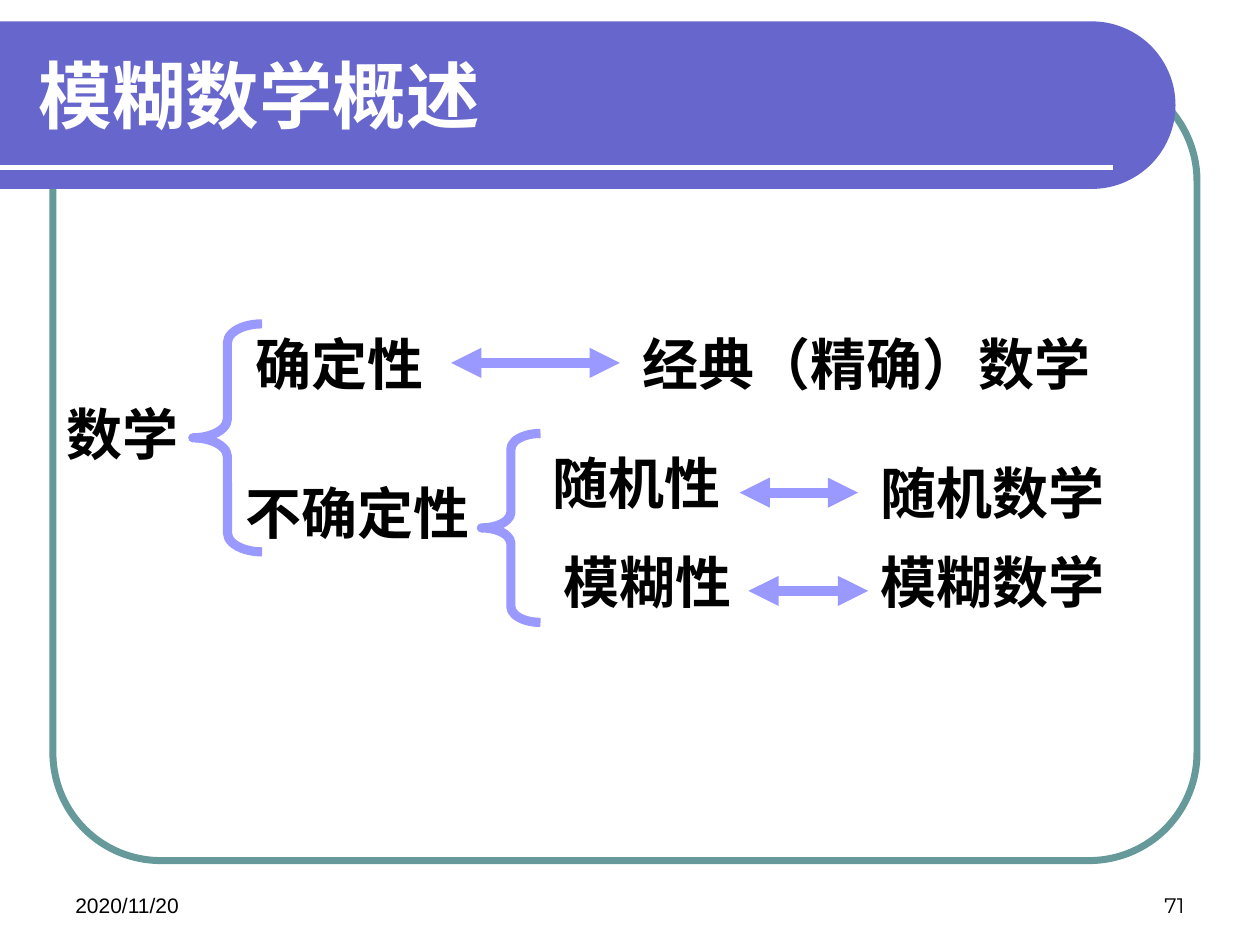
"""Build the slide that outlines the branches of mathematics."""
from dataclasses import dataclass
from math import cos, pi, sin

from lxml.etree import SubElement
from pptx import Presentation
from pptx.dml.color import RGBColor
from pptx.enum.shapes import MSO_CONNECTOR as Connector, MSO_SHAPE as Shape
from pptx.enum.text import MSO_ANCHOR as Anchor, PP_ALIGN as Align
from pptx.oxml.ns import qn
from pptx.util import Inches, Pt


@dataclass(frozen=True)
class Theme:
    """Colours, fonts and sizes of the slide."""
    banner: str = "6666CC"
    frame: str = "669999"
    accent: str = "9999FF"
    light: str = "FFFFFF"
    dark: str = "000000"
    font: str = "Arial"
    number_font: str = "Montserrat"
    title_size: int = 42
    label_size: int = 32
    footer_size: int = 12
    frame_width: float = 4
    rule_width: float = 3
    brace_width: float = 5.25
    arrow_width: float = 5.75


class SlideBuilder:
    """Draws each kind of element in one style."""

    def __init__(self, page, theme):
        self.page = page
        self.theme = theme

    def outline(self, kind, left, top, width, height, adjustments, color, weight):
        """Add an unfilled preset shape."""
        shape = self.page.shapes.add_shape(
            kind, Inches(left), Inches(top), Inches(width), Inches(height))
        for index, value in enumerate(adjustments):
            shape.adjustments[index] = value
        shape.shadow.inherit = False
        shape.fill.background()
        shape.line.color.rgb = RGBColor.from_string(color)
        shape.line.width = Pt(weight)

    def brace(self, left, top, width, height, curve):
        """Add a left brace."""
        self.outline(Shape.LEFT_BRACE, left, top, width, height, (curve, 0.5),
                     self.theme.accent, self.theme.brace_width)

    def banner(self, top, right, height):
        """Add a band from the left edge with a half-round right end."""
        radius = height / 2
        steps = 60
        angles = [pi * step / steps - pi / 2 for step in range(steps + 1)]
        points = [(Inches(right - radius + radius * cos(angle)),
                   Inches(top + radius + radius * sin(angle))) for angle in angles]
        outline = self.page.shapes.build_freeform(0, Inches(top))
        outline.add_line_segments(points + [(0, Inches(top + height))], close=True)
        shape = outline.convert_to_shape()
        shape.shadow.inherit = False
        shape.fill.solid()
        shape.fill.fore_color.rgb = RGBColor.from_string(self.theme.banner)
        shape.line.fill.background()

    def line(self, left, right, y, color, weight):
        """Add a horizontal line."""
        line = self.page.shapes.add_connector(
            Connector.STRAIGHT, Inches(left), Inches(y), Inches(right), Inches(y))
        line.line.color.rgb = RGBColor.from_string(color)
        line.line.width = Pt(weight)
        SubElement(line._element.spPr, qn("a:effectLst"))
        return line

    def arrow(self, left, right, y):
        """Add a double-headed horizontal arrow."""
        line = self.line(left, right, y, self.theme.accent, self.theme.arrow_width)
        stroke = line.line._get_or_add_ln()
        for end in ("a:headEnd", "a:tailEnd"):
            SubElement(stroke, qn(end), type="triangle")

    def text(self, words, left, top, width, height, size, color, font=None,
             bold=False, anchor=Anchor.TOP, align=Align.LEFT):
        """Add a one-paragraph text box."""
        box = self.page.shapes.add_textbox(
            Inches(left), Inches(top), Inches(width), Inches(height))
        frame = box.text_frame
        frame.word_wrap = True
        frame.vertical_anchor = anchor
        para = frame.paragraphs[0]
        para.text = words
        para.alignment = align
        para.font.name = font or self.theme.font
        para.font.size = Pt(size)
        para.font.bold = bold
        para.font.color.rgb = RGBColor.from_string(color)

    def label(self, words, left, top, width):
        """Add a bold diagram label."""
        self.text(words, left, top, width, 0.63, self.theme.label_size,
                  self.theme.dark, bold=True)

    def footer(self, words, left, font, align):
        """Add a text at the foot of the slide."""
        self.text(words, left, 6.83, 2.33, 0.5, self.theme.footer_size,
                  self.theme.dark, font, anchor=Anchor.BOTTOM, align=align)


def main():
    """Build and save the deck."""
    deck = Presentation()
    deck.slide_width, deck.slide_height = Inches(10), Inches(7.5)
    theme = Theme()
    builder = SlideBuilder(deck.slides.add_slide(deck.slide_layouts[6]), theme)

    builder.outline(Shape.ROUNDED_RECTANGLE, 0.42, 0.58, 9.08, 6.25, (0.137,),
                    theme.frame, theme.frame_width)
    builder.banner(0.17, 9.33, 1.33)
    builder.line(0, 8.83, 1.33, theme.light, theme.rule_width)
    builder.footer("2020/11/20", 0.5, theme.font, Align.LEFT)
    builder.footer("71", 7.17, theme.number_font, Align.RIGHT)
    builder.text("模糊数学概述", 0.21, 0.25, 8.77, 1, theme.title_size, theme.light,
                 bold=True, anchor=Anchor.MIDDLE)

    builder.brace(1.53, 2.57, 0.55, 1.81, 0.273)
    builder.brace(3.82, 3.44, 0.47, 1.5, 0.264)
    for left, right, y in ((3.58, 4.92, 2.88), (5.87, 6.81, 3.91), (5.94, 6.89, 4.69)):
        builder.arrow(left, right, y)
    for words, left, top, width in (
        ("数学", 0.43, 3.12, 1.26),
        ("确定性", 1.93, 2.57, 1.58),
        ("经典（精确）数学", 5, 2.57, 4.17),
        ("不确定性", 1.85, 3.75, 2.2),
        ("随机性", 4.29, 3.51, 1.65),
        ("随机数学", 6.89, 3.59, 2.05),
        ("模糊性", 4.37, 4.3, 1.65),
        ("模糊数学", 6.89, 4.3, 2.12),
    ):
        builder.label(words, left, top, width)

    deck.save("out.pptx")


if __name__ == "__main__":
    main()
